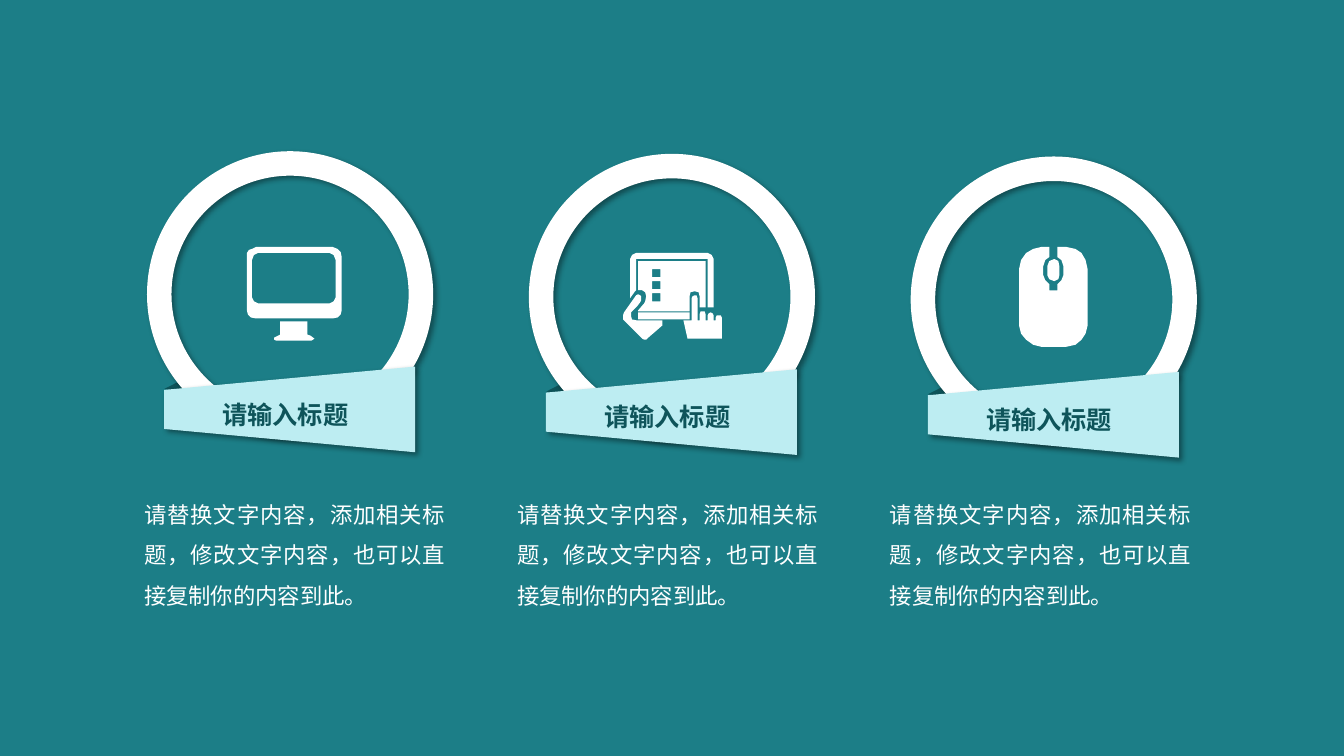
from lxml.etree import SubElement
from pptx import Presentation
from pptx.dml.color import RGBColor
from pptx.enum.shapes import MSO_SHAPE as Shape
from pptx.enum.text import MSO_AUTO_SIZE as AutoSize, PP_ALIGN as Align
from pptx.oxml.ns import qn
from pptx.util import Pt

FONT = "Noto Sans CJK SC"
TEAL, DARK_TEAL, PALE_TEAL, WHITE = "1C7E87", "0E545A", "BDEDF2", "FFFFFF"
TITLE = "请输入标题"
BODY = "请替换文字内容，添加相关标题，修改文字内容，也可以直接复制你的内容到此。"

# Icon outlines, in units of 0.72 pt from the icon's top left corner.
ICON_UNIT = 0.72
MONITOR = [
    [(60, 87), (60, 74), (33, 74), (33, 87), (27, 90), (27, 92), (29, 93), (64, 93),
     (67, 91), (63, 88)],
    [(85, 0), (9, 0), (5, 2), (2, 3), (0, 6), (0, 63), (1, 67), (4, 70), (9, 71),
     (85, 71), (90, 70), (93, 67), (94, 63), (94, 10), (93, 5), (90, 2)],
    [(88, 50), (86, 54), (82, 56), (11, 56), (7, 54), (5, 50), (5, 13), (7, 8),
     (11, 6), (82, 6), (86, 8), (88, 13)],
]
MENU_SQUARES = [[(29, y), (37, y), (37, y + 8), (29, y + 8)] for y in (16, 28, 40)]
TABLET = [
    [(15, 66), (66, 66), (66, 59), (15, 59)],
    [(79, 54), (82, 54), (82, 8), (15, 8), (15, 37), (19, 37), (22, 39), (23, 43),
     (22, 48), (21, 50), (15, 57), (15, 58), (66, 58), (66, 43), (67, 39), (71, 38),
     (75, 39), (76, 43), (76, 54)],
    *MENU_SQUARES,
    [(13, 37), (13, 6), (84, 6), (84, 54), (90, 54), (90, 6), (88, 2), (84, 0),
     (13, 0), (9, 2), (7, 6), (7, 45), (12, 38)],
    [(95, 62), (93, 62), (92, 64), (92, 67), (90, 67), (90, 62), (89, 60), (87, 59),
     (85, 60), (84, 62), (84, 67), (82, 67), (82, 61), (81, 58), (77, 58), (76, 61),
     (76, 67), (74, 67), (74, 45), (73, 42), (71, 42), (69, 43), (68, 45), (68, 67),
     (60, 67), (64, 85), (98, 85), (98, 64), (97, 62)],
    [(8, 59), (14, 53), (17, 49), (18, 47), (18, 43), (17, 42), (15, 41), (13, 42),
     (1, 59), (0, 62), (0, 66), (1, 67), (19, 85), (21, 86), (23, 86), (24, 85),
     (39, 72), (39, 67), (14, 67), (9, 66), (8, 63), (8, 61)],
]
MOUSE = [
    [(40, 19), (40, 28), (39, 32), (35, 34), (30, 32), (28, 28), (28, 19), (30, 14),
     (35, 12), (39, 14)],
    [(47, 99), (22, 99), (14, 97), (7, 92), (2, 86), (0, 78), (0, 22), (2, 13), (7, 6),
     (14, 2), (22, 0), (30, 0), (30, 10), (26, 13), (24, 19), (24, 28), (26, 33),
     (30, 37), (30, 43), (38, 43), (38, 37), (42, 33), (44, 28), (44, 19), (42, 13),
     (38, 10), (38, 0), (47, 0), (56, 2), (62, 6), (66, 13), (68, 22), (68, 78),
     (66, 86), (62, 92), (56, 97)],
]

# title, body, icon outlines, icon left and top
TOPICS = [
    (TITLE, BODY, MONITOR, 176.4, 176.4),
    (TITLE, BODY, TABLET, 445, 180.7),
    (TITLE, BODY, MOUSE, 727.9, 176.4),
]
BADGE_LEFT, BADGE_TOP = 105, 108
BADGE_STEP_X, BADGE_STEP_Y = 272.75, 1.9
RING_SIZE, RING_BAND = 204.4, 17.5
BODY_LEFT, BODY_TOP, BODY_STEP = 95.8, 344.9, 266.4


def color(hex_code):
    return RGBColor.from_string(hex_code)


def paint(shape, fill):
    shape.shadow.inherit = False
    shape.fill.solid()
    shape.fill.fore_color.rgb = color(fill)
    shape.line.fill.background()


def add_preset(preset, left, top, width, height, fill, rotation=0):
    shape = slide.shapes.add_shape(preset, Pt(left), Pt(top), Pt(width), Pt(height))
    shape.rotation = rotation
    paint(shape, fill)
    return shape


def cast_shadow(shape):
    """Black shadow at 40 %, blurred 4 pt, 3 pt towards the lower right."""
    effects = shape._element.spPr.find(qn("a:effectLst"))
    outer = SubElement(effects, qn("a:outerShdw"), blurRad=str(Pt(4)), dist=str(Pt(3)),
                       dir=str(45 * 60000), algn="tl", rotWithShape="0")
    black = SubElement(outer, qn("a:srgbClr"), val="000000")
    SubElement(black, qn("a:alpha"), val="40000")


def add_icon(outlines, left, top):
    builder = slide.shapes.build_freeform(*outlines[0][0], scale=Pt(ICON_UNIT))
    for i, (start, *rest) in enumerate(outlines):
        if i:
            builder.move_to(*start)
        builder.add_line_segments(rest, close=True)
    paint(builder.convert_to_shape(Pt(left), Pt(top)), WHITE)


def add_text(text, left, top, width, height, size, ink, bold=False, spacing=None):
    box = slide.shapes.add_textbox(Pt(left), Pt(top), Pt(width), Pt(height))
    frame = box.text_frame
    frame.word_wrap = True
    frame.auto_size = AutoSize.SHAPE_TO_FIT_TEXT
    paragraph = frame.paragraphs[0]
    paragraph.text = text
    paragraph.alignment = Align.JUSTIFY
    paragraph.line_spacing = spacing
    font = paragraph.font
    font.size, font.bold, font.name = Pt(size), bold, FONT
    font.color.rgb = color(ink)
    # Chinese characters take the East Asian typeface
    SubElement(paragraph._p.pPr.find(qn("a:defRPr")), qn("a:ea"), typeface=FONT)


def add_badge(title, left, top):
    """Ring with a folded ribbon that carries the title."""
    add_preset(Shape.RIGHT_TRIANGLE, left + 16.7, top + 151.9, 16.6, 23, DARK_TEAL, 279)
    ring = add_preset(Shape.DONUT, left, top, RING_SIZE, RING_SIZE, WHITE)
    ring.adjustments[0] = RING_BAND / RING_SIZE
    ribbon = add_preset(Shape.TRAPEZOID, left + 71.3, top + 94.8, 61.2, 179.3,
                        PALE_TEAL, 270)
    ribbon.adjustments[0] = 0.272
    cast_shadow(ring)
    cast_shadow(ribbon)
    add_text(title, left + 46.8, top + 173.4, 110.2, 29, 18, DARK_TEAL, bold=True)


deck = Presentation()
deck.slide_width, deck.slide_height = Pt(960), Pt(540)
slide = deck.slides.add_slide(deck.slide_layouts[6])

add_preset(Shape.RECTANGLE, -1.5, -1.5, 963, 543, TEAL)
for column, (title, body, outlines, icon_left, icon_top) in enumerate(TOPICS):
    add_text(body, BODY_LEFT + column * BODY_STEP, BODY_TOP, 229.7, 94.3, 16, WHITE,
             spacing=1.5)
    add_badge(title, BADGE_LEFT + column * BADGE_STEP_X, BADGE_TOP + column * BADGE_STEP_Y)
    add_icon(outlines, icon_left, icon_top)

deck.save("out.pptx")
